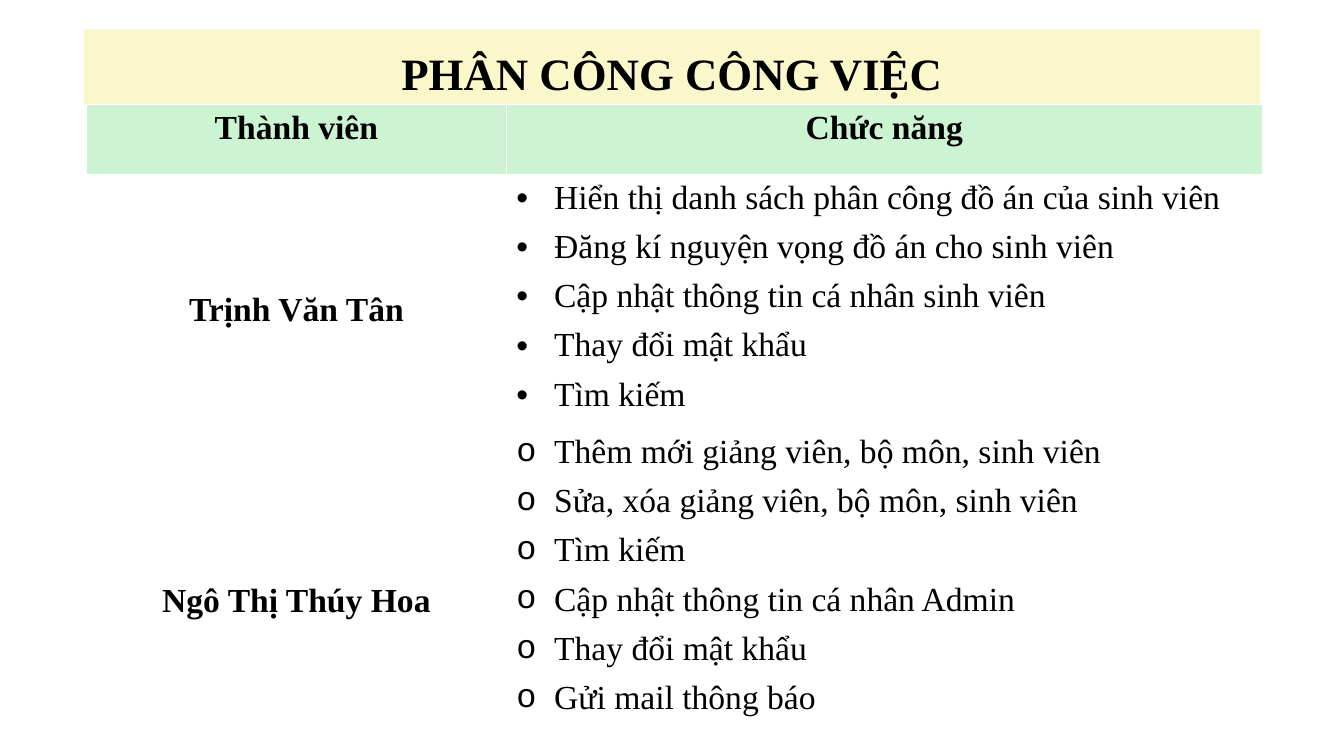
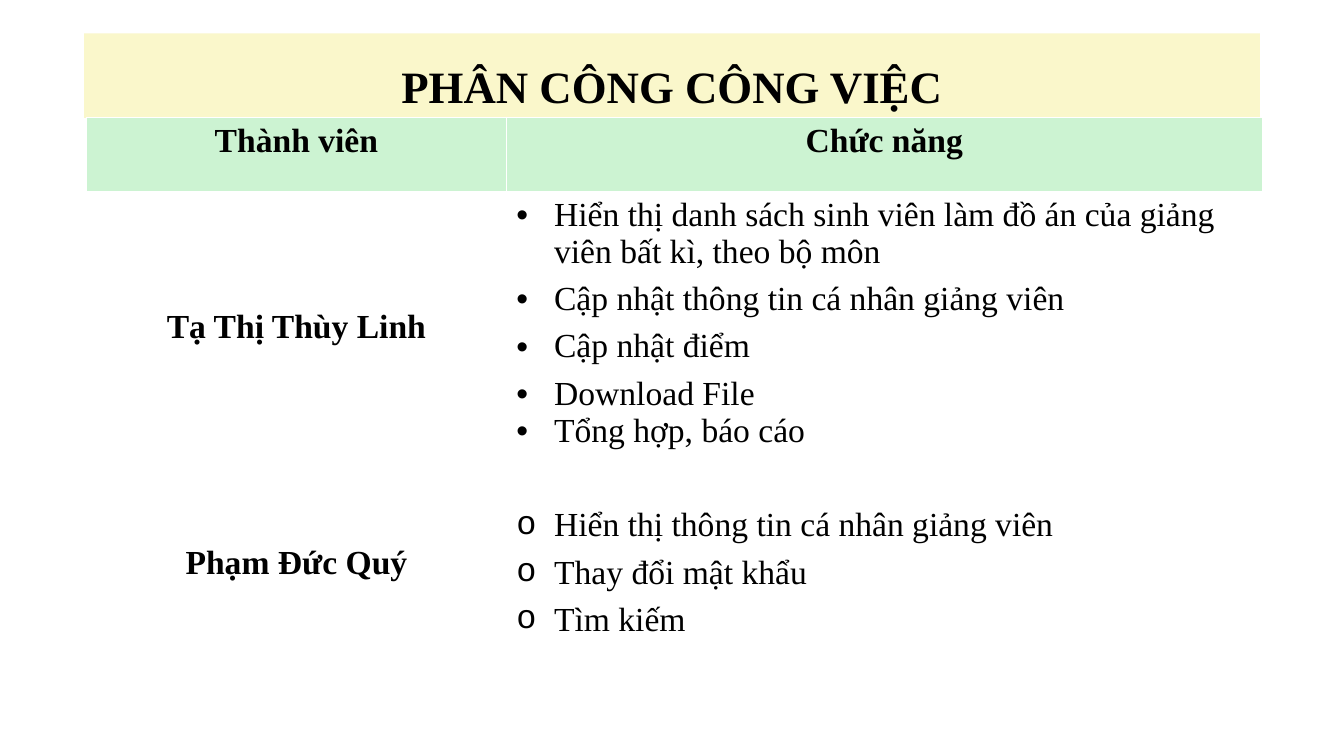
from lxml import etree
from pptx import Presentation
from pptx import util as u
from pptx.dml.color import RGBColor
from pptx.enum import shapes, text
from pptx.oxml.ns import qn

# Content: each task is one table row; a row may hold several lines or none
TITLE = "PHÂN CÔNG CÔNG VIỆC"
HEADERS = ("Thành viên", "Chức năng")
SLIDES = [
    {
        "title_top": 0.74, "title_height": 1.9,
        "header_height": 1.75, "row_height": 1.24, "row_heights": {5: 1.45},
        "members": [
            {"name": "Trịnh Văn Tân", "lines_above": 3, "bullet": "•", "tasks": [
                ["Hiển thị danh sách phân công đồ án của sinh viên"],
                ["Đăng kí nguyện vọng đồ án cho sinh viên"],
                ["Cập nhật thông tin cá nhân sinh viên"],
                ["Thay đổi mật khẩu"],
                ["Tìm kiếm"]]},
            {"name": "Ngô Thị Thúy Hoa", "lines_above": 4, "bullet": "o", "tasks": [
                ["Thêm mới giảng viên, bộ môn, sinh viên"],
                ["Sửa, xóa giảng viên, bộ môn, sinh viên"],
                ["Tìm kiếm"],
                ["Cập nhật thông tin cá nhân Admin"],
                ["Thay đổi mật khẩu"],
                ["Gửi mail thông báo"]]},
        ],
    },
    {
        "title_top": 0.84, "title_height": 2.13,
        "header_height": 1.85, "row_height": 1.19, "row_heights": {1: 2.11, 4: 2.11},
        "members": [
            {"name": "Tạ Thị Thùy Linh", "lines_above": 3, "bullet": "•", "tasks": [
                ["Hiển thị danh sách sinh viên làm đồ án của giảng viên bất kì, theo bộ môn"],
                ["Cập nhật thông tin cá nhân giảng viên"],
                ["Cập nhật điểm"],
                ["Download File", "Tổng hợp, báo cáo"],
                []]},
            {"name": "Phạm Đức Quý", "lines_above": 1, "bullet": "o", "tasks": [
                ["Hiển thị thông tin cá nhân giảng viên"],
                ["Thay đổi mật khẩu"],
                ["Tìm kiếm"],
                []]},
        ],
    },
]

# Shared look
COLORS = {"title": "FAF7CB", "header": "CCF3D2", "body": "FFFFFF", "text": "000000"}
FONT = "Times New Roman"
BULLET_FONTS = {"•": "Arial", "o": "Courier New"}
TITLE_LEFT, TABLE_LEFT = 2.12, 2.18
COLUMN_WIDTHS = (10.58, 19.05)
LINE_HEIGHT, CELL_MARGIN, BULLET_INDENT = 0.94, 0.13, 0.95


def set_fill(target, color):
    target.fill.solid()
    target.fill.fore_color.rgb = RGBColor.from_string(COLORS[color])


def add_bullet(paragraph, bullet):
    properties = paragraph._p.get_or_add_pPr()
    indent = u.Cm(BULLET_INDENT)
    properties.set("marL", str(indent))
    properties.set("indent", str(-indent))
    etree.SubElement(properties, qn("a:buFont")).set("typeface", BULLET_FONTS[bullet])
    etree.SubElement(properties, qn("a:buChar")).set("char", bullet)


def write(frame, lines, size=24, bold=False, align=text.PP_ALIGN.LEFT, bullet=None,
          spacing=None):
    for index, line in enumerate(lines):
        paragraph = frame.paragraphs[0] if index == 0 else frame.add_paragraph()
        paragraph.alignment = align
        if spacing:
            paragraph.line_spacing = spacing
        if bullet:
            add_bullet(paragraph, bullet)
        run = paragraph.add_run()
        run.text = line
        run.font.name = FONT
        run.font.size = u.Pt(size)
        run.font.bold = bold
        run.font.color.rgb = RGBColor.from_string(COLORS["text"])


def add_title(slide, top, height):
    band = slide.shapes.add_shape(shapes.MSO_SHAPE.RECTANGLE, u.Cm(TITLE_LEFT), u.Cm(top),
                                  u.Cm(sum(COLUMN_WIDTHS)), u.Cm(height))
    band.shadow.inherit = False
    band.line.fill.background()
    set_fill(band, "title")
    band.text_frame.word_wrap = True
    band.text_frame.vertical_anchor = text.MSO_ANCHOR.BOTTOM
    write(band.text_frame, [TITLE], size=32, bold=True, align=text.PP_ALIGN.CENTER,
          spacing=0.9)


def add_assignments(slide, content):
    members = content["members"]
    row_count = 1 + sum(len(member["tasks"]) for member in members)
    heights = [content["header_height"]] + [
        content["row_heights"].get(row, content["row_height"]) for row in range(1, row_count)]
    top = content["title_top"] + content["title_height"]
    table = slide.shapes.add_table(row_count, len(HEADERS), u.Cm(TABLE_LEFT), u.Cm(top),
                                   u.Cm(sum(COLUMN_WIDTHS)), u.Cm(sum(heights))).table
    table.horz_banding = False
    for column, width in zip(table.columns, COLUMN_WIDTHS):
        column.width = u.Cm(width)
    for index, height in enumerate(heights):
        table.rows[index].height = u.Cm(height)
        for cell in table.rows[index].cells:
            set_fill(cell, "body" if index else "header")

    # Header row
    for column, header in enumerate(HEADERS):
        write(table.cell(0, column).text_frame, [header], bold=True,
              align=text.PP_ALIGN.CENTER)

    # One merged name cell per member, beside that member's tasks
    row = 1
    for member in members:
        tasks = member["tasks"]
        name_cell = table.cell(row, 0)
        name_cell.merge(table.cell(row + len(tasks) - 1, 0))
        name_cell.margin_top = u.Cm(CELL_MARGIN + member["lines_above"] * LINE_HEIGHT)
        write(name_cell.text_frame, [member["name"]], bold=True, align=text.PP_ALIGN.CENTER)
        for offset, lines in enumerate(tasks):
            write(table.cell(row + offset, 1).text_frame, lines, bullet=member["bullet"])
        row += len(tasks)


def main():
    presentation = Presentation()
    presentation.slide_width, presentation.slide_height = u.Cm(33.87), u.Cm(19.05)
    for content in SLIDES:
        slide = presentation.slides.add_slide(presentation.slide_layouts[6])
        add_title(slide, content["title_top"], content["title_height"])
        add_assignments(slide, content)
    presentation.save("out.pptx")


if __name__ == "__main__":
    main()
